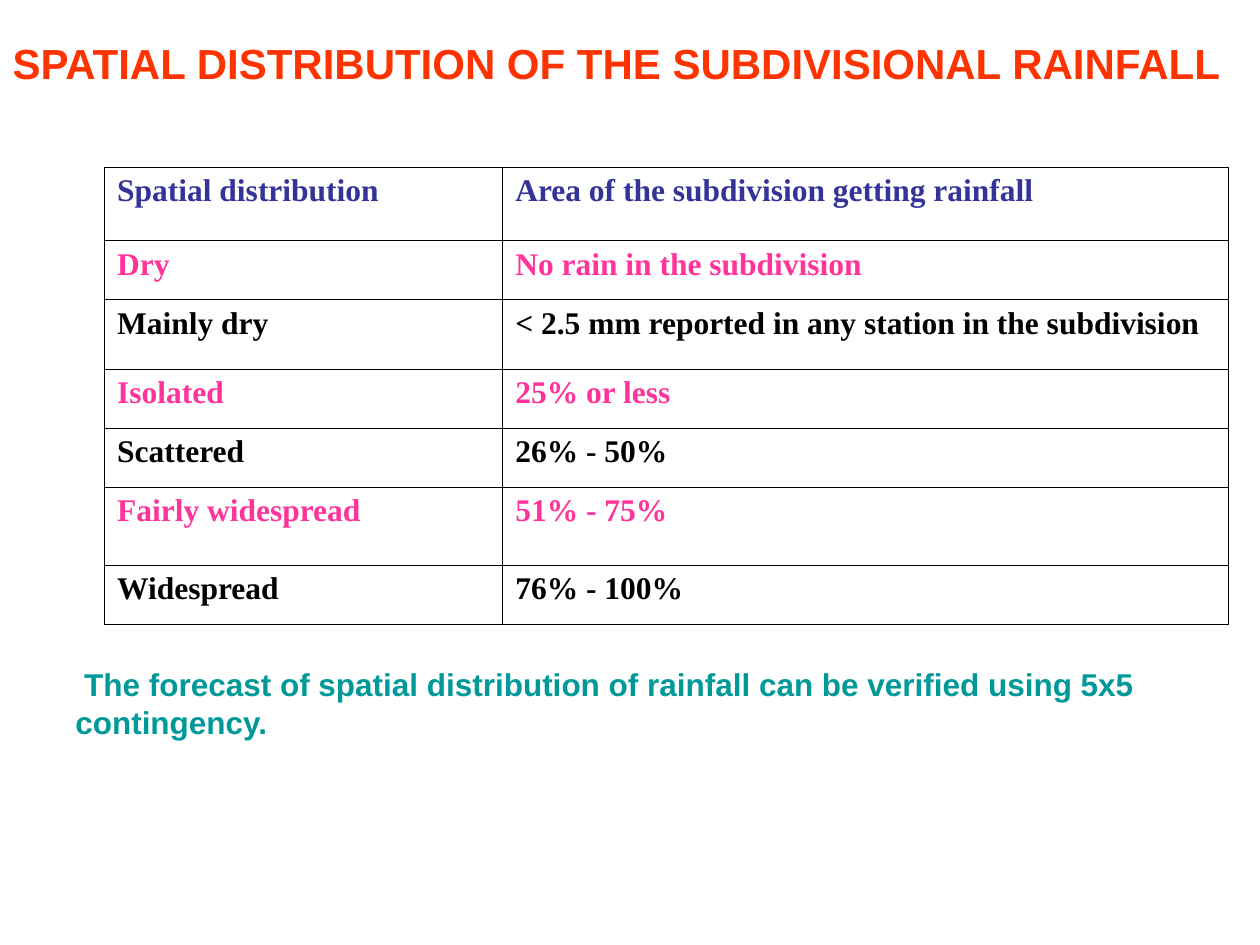
from lxml.etree import SubElement
from pptx import Presentation
from pptx.dml.color import RGBColor
from pptx.enum.text import MSO_ANCHOR, MSO_AUTO_SIZE, PP_ALIGN
from pptx.oxml.ns import qn
from pptx.util import Inches, Pt

TITLE = "SPATIAL DISTRIBUTION OF THE SUBDIVISIONAL RAINFALL"
NOTE = ("The forecast of spatial distribution of rainfall can be verified "
        "using 5x5 contingency.")
CATEGORIES = [
    ("Spatial distribution", "Area of the subdivision getting rainfall"),
    ("Dry", "No rain in the subdivision"),
    ("Mainly dry", "< 2.5 mm reported in any station in the subdivision"),
    ("Isolated", "25% or less"),
    ("Scattered", "26% - 50%"),
    ("Fairly widespread", "51% - 75%"),
    ("Widespread", "76% - 100%"),
]
COLUMN_WIDTHS = [3.16, 5.76]
ROW_HEIGHTS = [0.58, 0.47, 0.55, 0.47, 0.47, 0.62, 0.47]


def color(value):
    return RGBColor.from_string(value)


class RainfallSlide:
    HEADER, ODD_ROW, EVEN_ROW = "333399", "FF3399", "000000"
    BORDER, BORDER_WIDTH = "000000", Pt(0.45)

    def __init__(self, prs):
        self.s = prs.slides.add_slide(prs.slide_layouts[5])

    def add_text(self, tf, text, hue, size=18, font="Arial"):
        p = tf.paragraphs[0]
        p.alignment = PP_ALIGN.LEFT
        r = p.add_run()
        r.text = text
        for name, value in {"name": font, "size": Pt(size), "bold": True}.items():
            setattr(r.font, name, value)
        r.font.color.rgb = color(hue)
        return p

    def frame(self, sp, anchor):
        settings = {"word_wrap": True, "auto_size": MSO_AUTO_SIZE.NONE,
                    "vertical_anchor": anchor}
        for name, value in settings.items():
            setattr(sp.text_frame, name, value)
        return sp.text_frame

    def title(self, text, left, top, width, height):
        sp = self.s.shapes.title
        box = {"left": left, "top": top, "width": width, "height": height}
        for name, value in box.items():
            setattr(sp, name, Inches(value))
        self.add_text(self.frame(sp, MSO_ANCHOR.TOP), text, "FF3300", size=24)

    def note(self, text, *box, first_indent):
        sp = self.s.shapes.add_textbox(*map(Inches, box))
        p = self.add_text(self.frame(sp, MSO_ANCHOR.MIDDLE), text, "009999")
        pPr = p._p.get_or_add_pPr()
        pPr.set("marL", "0")
        pPr.set("indent", str(Inches(first_indent)))

    def border(self, cell):
        tcPr = cell._tc.get_or_add_tcPr()
        for side in ("a:lnL", "a:lnR", "a:lnT", "a:lnB"):
            ln = SubElement(tcPr, qn(side), w=str(self.BORDER_WIDTH))
            fill = SubElement(ln, qn("a:solidFill"))
            SubElement(fill, qn("a:srgbClr"), val=self.BORDER)

    def table(self, rows, left, top, widths, heights):
        box = (left, top, sum(widths), sum(heights))
        table = self.s.shapes.add_table(
            len(rows), len(widths), *map(Inches, box)).table
        for column, width in zip(table.columns, widths):
            column.width = Inches(width)
        for i, (row, height) in enumerate(zip(table.rows, heights)):
            row.height = Inches(height)
            hue = self.ODD_ROW if i % 2 else self.EVEN_ROW if i else self.HEADER
            for cell, text in zip(row.cells, rows[i]):
                self.border(cell)
                cell.fill.background()
                self.add_text(cell.text_frame, text, hue, font="Times New Roman")


def main():
    prs = Presentation()
    prs.slide_width, prs.slide_height = Inches(10), Inches(7.5)
    slide = RainfallSlide(prs)
    slide.table(CATEGORIES, 0.83, 1.33, COLUMN_WIDTHS, ROW_HEIGHTS)
    slide.note(NOTE, 0.5, 5.23, 9.33, 0.7, first_indent=0.07)
    slide.title(TITLE, 0, 0.25, 10, 0.5)
    prs.save("out.pptx")


if __name__ == "__main__":
    main()
